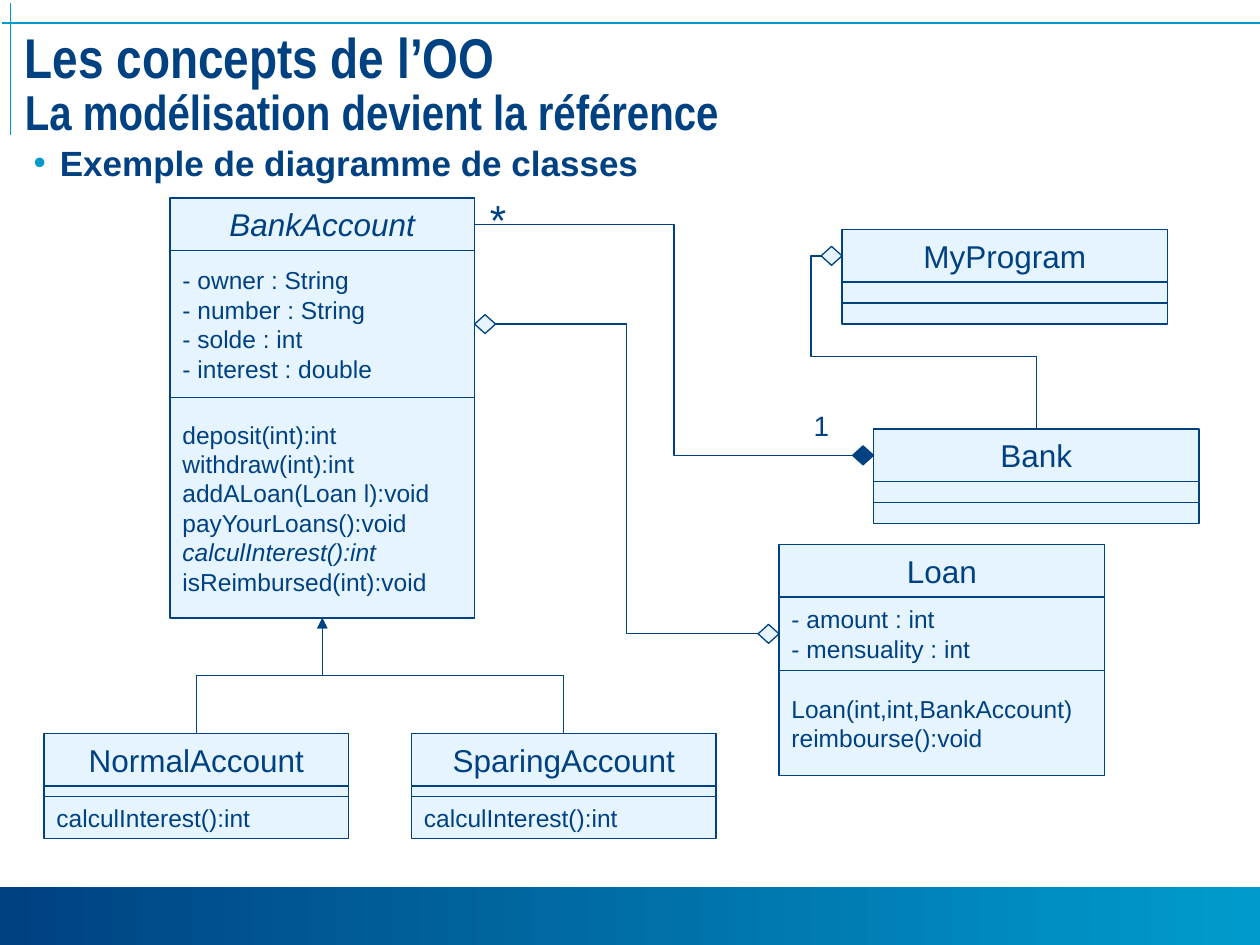
from dataclasses import dataclass

from lxml.etree import SubElement
from pptx import Presentation
from pptx.dml.color import RGBColor
from pptx.enum.shapes import MSO_CONNECTOR, MSO_SHAPE
from pptx.enum.text import MSO_ANCHOR, MSO_AUTO_SIZE, PP_ALIGN
from pptx.oxml.ns import qn
from pptx.util import Pt


@dataclass(frozen=True)
class Theme:
    navy: RGBColor = RGBColor(0x00, 0x41, 0x82)
    cyan: RGBColor = RGBColor(0x00, 0x9B, 0xCC)
    pale: RGBColor = RGBColor(0xE6, 0xF4, 0xFF)
    sans: str = "Arial"
    slim: str = "Arial Narrow"
    head: int = 32
    sub: int = 28
    lead: int = 20
    name: int = 18
    item: int = 14
    one: int = 16
    star: int = 24
    thin: float = 0.75
    rule: float = 1


THEME = Theme()
LEFT, RIGHT, TOP, BOTTOM = "left", "right", "top", "bottom"


def add_run(para, text, size, font=THEME.sans, bold=False, slant=False):
    run = para.add_run()
    run.text = text
    run.font.size = Pt(size)
    run.font.name = font
    run.font.bold = bold
    run.font.italic = slant
    run.font.color.rgb = THEME.navy


def place(shape, box):
    shape.left, shape.top, shape.width, shape.height = map(Pt, box)


def add_form(slide, kind, box, fill):
    form = slide.shapes.add_shape(kind, *map(Pt, box))
    form.shadow.inherit = False
    form.fill.solid()
    form.fill.fore_color.rgb = fill
    form.line.color.rgb = THEME.navy
    form.line.width = Pt(THEME.thin)
    return form


def add_link(slide, kind, start, end, color, width):
    link = slide.shapes.add_connector(kind, *map(Pt, start + end))
    link.line.color.rgb = color
    link.line.width = Pt(width)
    SubElement(link._element.spPr, qn("a:effectLst"))
    return link


def add_bend(slide, start, end):
    return add_link(slide, MSO_CONNECTOR.ELBOW, start, end, THEME.navy, THEME.thin)


def add_drop(slide, start, end, bends=()):
    link = add_bend(slide, start, end)
    (ax, ay), (bx, by) = start, end
    wide, high = abs(by - ay), abs(bx - ax)
    place(link, ((ax + bx - wide) / 2, (ay + by - high) / 2, wide, high))
    right, up = bx > ax, by < ay
    frame = link._element.spPr.find(qn("a:xfrm"))
    frame.set("rot", str((270 if right else 90) * 60000))
    frame.set("flipH", str(int(right != up)))
    frame.set("flipV", "0")
    if bends:
        shape = link._element.spPr.find(qn("a:prstGeom"))
        shape.set("prst", f"bentConnector{len(bends) + 2}")
        guides = shape.find(qn("a:avLst"))
        for spot, bend in enumerate(bends, 1):
            SubElement(guides, qn("a:gd"), name=f"adj{spot}", fmla=f"val {round(bend * 100000)}")
    return link


def side(row, edge):
    x, y = row.left.pt, row.top.pt
    wide, high = row.width.pt, row.height.pt
    return {
        LEFT: (x, y + high / 2),
        RIGHT: (x + wide, y + high / 2),
        TOP: (x + wide / 2, y),
        BOTTOM: (x + wide / 2, y + high),
    }[edge]


def draw_frame(slide, box):
    x, y, wide, high = box
    for start, end in (((x + 1, y + 13), (x + wide, y + 13)), ((x + 6, y + 2), (x + 6, y + 77))):
        add_link(slide, MSO_CONNECTOR.STRAIGHT, start, end, THEME.cyan, THEME.rule)
    band = add_form(slide, MSO_SHAPE.RECTANGLE, (x, y + high - 35.2, wide, 35.2), THEME.navy)
    band.line.fill.background()
    band.fill.gradient()
    band.fill.gradient_angle = 0
    for stop, color in zip(band.fill.gradient_stops, (THEME.navy, THEME.cyan)):
        stop.color.rgb = color


def draw_title(slide, box):
    title = slide.shapes.title
    place(title, box)
    frame = title.text_frame
    frame.auto_size = MSO_AUTO_SIZE.NONE
    frame.vertical_anchor = MSO_ANCHOR.TOP
    frame.margin_top = frame.margin_bottom = Pt(3)
    para = frame.paragraphs[0]
    para.alignment = PP_ALIGN.LEFT
    para.line_spacing = 0.85
    add_run(para, "Les concepts de l’OO", THEME.head, THEME.slim, bold=True)
    para.add_line_break()
    add_run(para, "La modélisation devient la référence", THEME.sub, THEME.slim, bold=True)


def draw_body(slide, box):
    body = slide.placeholders[1]
    place(body, box)
    body.text_frame.auto_size = MSO_AUTO_SIZE.NONE
    para = body.text_frame.paragraphs[0]
    para.space_before = Pt(2)
    props = para._p.get_or_add_pPr()
    props.set("marL", str(Pt(15)))
    props.set("indent", str(-Pt(15)))
    SubElement(SubElement(props, qn("a:buClr")), qn("a:srgbClr"), val=str(THEME.cyan))
    SubElement(props, qn("a:buChar"), char="•")
    add_run(para, "Exemple de diagramme de classes", THEME.lead, bold=True)


def draw_class(slide, box, parts, slants=()):
    x, y, wide = box
    rows = []
    for spot, (high, lines) in enumerate(parts):
        row = add_form(slide, MSO_SHAPE.RECTANGLE, (x, y, wide, high), THEME.pale)
        frame = row.text_frame
        frame.word_wrap = True
        frame.vertical_anchor = MSO_ANCHOR.MIDDLE
        for count, line in enumerate(lines):
            para = frame.add_paragraph() if count else frame.paragraphs[0]
            para.alignment = PP_ALIGN.LEFT if spot else PP_ALIGN.CENTER
            add_run(para, line, THEME.item if spot else THEME.name, slant=line in slants)
        rows.append(row)
        y += high
    return rows


def draw_gem(slide, row, edge, fill=THEME.pale):
    x, y = side(row, edge)
    wide, high = 12, 10.8
    add_form(slide, MSO_SHAPE.DIAMOND, (x - wide if edge == LEFT else x, y - high / 2, wide, high), fill)


def draw_label(slide, box, text, size):
    label = slide.shapes.add_textbox(*map(Pt, box))
    label.text_frame.word_wrap = False
    add_run(label.text_frame.paragraphs[0], text, size)


def draw_links(slide, account, loan, bank, program, kids):
    for kid in kids:
        link = add_drop(slide, side(account[-1], BOTTOM), side(kid[0], TOP))
        SubElement(link.line._get_or_add_ln(), qn("a:headEnd"), type="triangle")
    add_bend(slide, side(account[1], RIGHT), side(loan[1], LEFT))
    add_bend(slide, side(account[0], RIGHT), side(bank[0], LEFT))
    add_drop(slide, side(bank[0], TOP), side(program[0], LEFT), (0.42, 1.16))
    for row, edge in ((account[1], RIGHT), (loan[1], LEFT), (program[0], LEFT)):
        draw_gem(slide, row, edge)
    draw_gem(slide, bank[0], LEFT, THEME.navy)


def draw_model(slide, box):
    x, y = box
    fields = ["- owner : String", "- number : String", "- solde : int", "- interest : double"]
    tasks = ["deposit(int):int", "withdraw(int):int", "addALoan(Loan l):void",
             "payYourLoans():void", "calculInterest():int", "isReimbursed(int):void"]
    account = draw_class(slide, (x + 72, y, 174), [(30, ["BankAccount"]), (84, fields), (126, tasks)],
                         ("BankAccount", "calculInterest():int"))
    loan = draw_class(slide, (x + 420, y + 198, 186), [
        (30, ["Loan"]),
        (42, ["- amount : int", "- mensuality : int"]),
        (60, ["Loan(int,int,BankAccount)", "reimbourse():void"]),
    ])
    bank, program = [
        draw_class(slide, (x + dx, y + dy, 186), [(30, [name]), (12, []), (12, [])])
        for name, dx, dy in (("Bank", 474, 132), ("MyProgram", 456, 18))
    ]
    kids = [
        draw_class(slide, (x + dx, y + 306, 174), [(30, [name]), (6, []), (24, ["calculInterest():int"])])
        for name, dx in (("NormalAccount", 0), ("SparingAccount", 210))
    ]
    draw_links(slide, account, loan, bank, program, kids)
    draw_label(slide, (x + 432.7, y + 116.5, 23, 26.6), "1", THEME.one)
    draw_label(slide, (x + 247.7, y - 6, 23.8, 36), "*", THEME.star)


def main():
    deck = Presentation()
    deck.slide_width, deck.slide_height = Pt(720), Pt(540)
    slide = deck.slides.add_slide(deck.slide_layouts[1])
    draw_frame(slide, (0, 0, 720, 542))
    draw_title(slide, (7, 16, 708, 73))
    draw_body(slide, (12, 77, 696, 428))
    draw_model(slide, (25.2, 113.2))
    deck.save("out.pptx")


if __name__ == "__main__":
    main()
